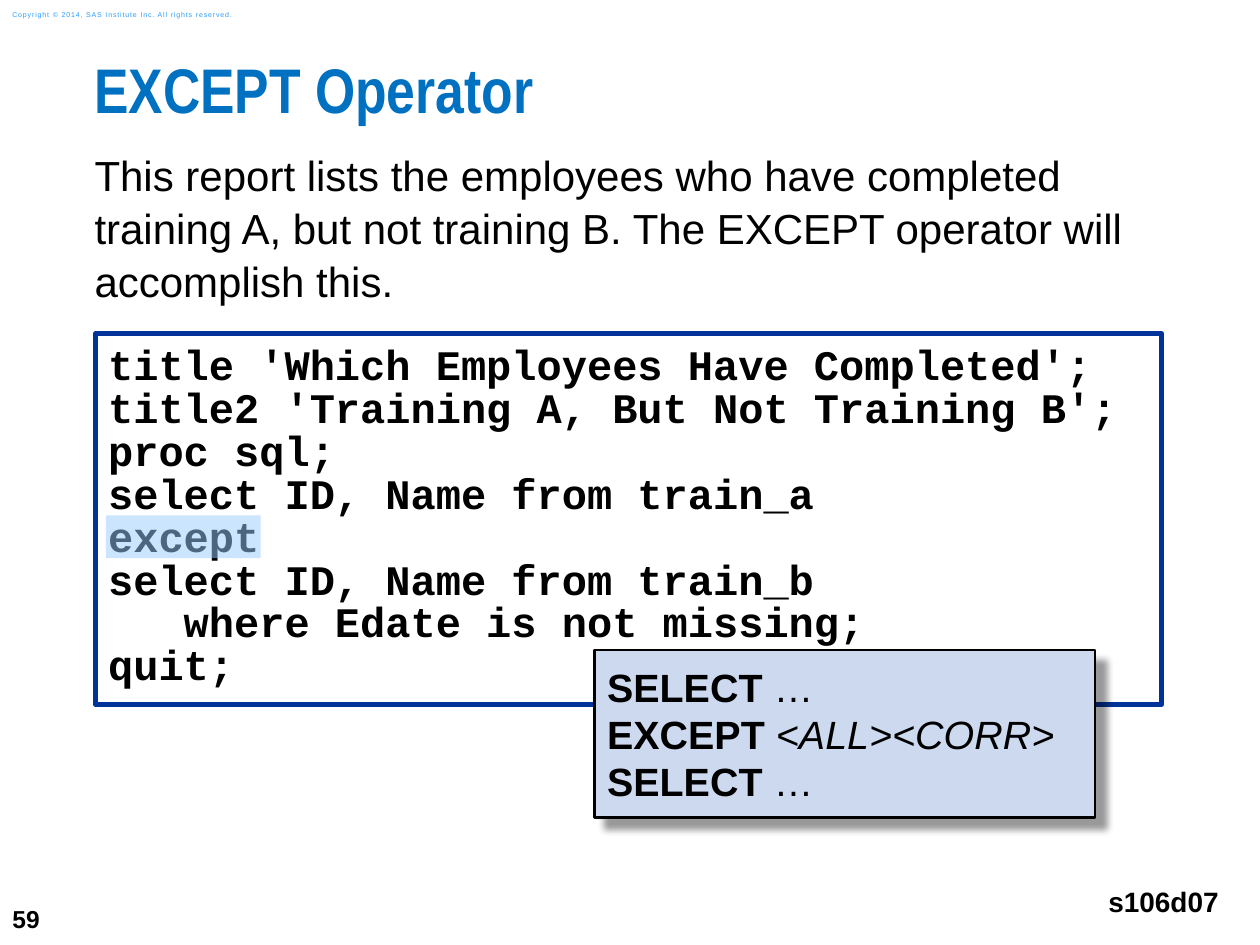
import pptx
import pptx.util
import pptx.dml.color
import pptx.enum.shapes
import pptx.enum.text
import pptx.oxml
import pptx.oxml.ns

Inches, Pt = pptx.util.Inches, pptx.util.Pt
ALIGN, ANCHOR = pptx.enum.text.PP_ALIGN, pptx.enum.text.MSO_ANCHOR
SPACE = pptx.oxml.ns.nsdecls("a")

TITLE = "EXCEPT Operator"
BODY = ("This report lists the employees who have completed training A, "
        "but not training B. The EXCEPT operator will accomplish this.")
CODE = [
    "title 'Which Employees Have Completed';",
    "title2 'Training A, But Not Training B';",
    "proc sql;",
    "select ID, Name from train_a",
    "except",
    "select ID, Name from train_b",
    "   where Edate is not missing;",
    "quit;",
]
SYNTAX = [
    [("SELECT", "b"), (" …", "")],
    [("EXCEPT ", "b"), ("<ALL><CORR>", "i")],
    [("SELECT", "b"), (" …", "")],
]
COPY = "Copyright © 2014, SAS Institute Inc. All rights reserved."
NUMBER, LABEL = "59", "s106d07"


def color(code):
    return pptx.dml.color.RGBColor.from_string(code)


def place(shape, box):
    shape.left, shape.top, shape.width, shape.height = map(Inches, box)
    return shape


def write(shape, lines, size, font="Arial", ink="000000", bold=False, align=ALIGN.LEFT,
          anchor=ANCHOR.TOP, pad=(0.1, 0.1, 0.1, 0.1), wrap=True, lead=1.0, track=0):
    frame = shape.text_frame
    frame.auto_size = pptx.enum.text.MSO_AUTO_SIZE.NONE
    frame.word_wrap, frame.vertical_anchor = wrap, anchor
    (frame.margin_left, frame.margin_top,
     frame.margin_right, frame.margin_bottom) = map(Inches, pad)
    for row, line in enumerate(lines):
        para = frame.add_paragraph() if row else frame.paragraphs[0]
        para.alignment, para.line_spacing = align, lead
        para.space_before = Pt(0)
        parts = [(line, "b" if bold else "")] if isinstance(line, str) else line
        for text, style in parts:
            run = para.add_run()
            run.text = text
            face = run.font
            face.name, face.size = font, Pt(size)
            face.bold, face.italic = "b" in style, "i" in style
            face.color.rgb = color(ink)
            if track:
                run._r.get_or_add_rPr().set("spc", str(track))


def rect(slide, box, fill, line=None, width=1):
    shape = slide.shapes.add_shape(pptx.enum.shapes.MSO_SHAPE.RECTANGLE, *map(Inches, box))
    shape.shadow.inherit = False
    shape.fill.solid()
    shape.fill.fore_color.rgb = color(fill)
    if line:
        shape.line.color.rgb = color(line)
        shape.line.width = Pt(width)
    else:
        shape.line.fill.background()
    return shape


def fade(shape, share):
    fill = shape._element.spPr.find(".//" + pptx.oxml.ns.qn("a:srgbClr"))
    fill.append(pptx.oxml.parse_xml(f'<a:alpha {SPACE} val="{share * 1000}"/>'))


def shade(shape, blur, dist, angle, share):
    shape._element.spPr.find(pptx.oxml.ns.qn("a:effectLst")).append(pptx.oxml.parse_xml(
        f'<a:outerShdw {SPACE} blurRad="{Pt(blur)}" dist="{Pt(dist)}" dir="{angle * 60000}" '
        f'algn="tl" rotWithShape="0"><a:srgbClr val="000000">'
        f'<a:alpha val="{share * 1000}"/></a:srgbClr></a:outerShdw>'))


def build():
    """Build the EXCEPT operator slide and save it."""
    deck = pptx.Presentation()
    deck.slide_width, deck.slide_height = Inches(10), Inches(7.5)
    slide = deck.slides.add_slide(deck.slide_layouts[1])
    title, body = slide.placeholders

    def note(box, text, size, **form):
        write(slide.shapes.add_textbox(*map(Inches, box)), [text], size, **form)

    note((0, 7.08, 0.58, 0.42), NUMBER, 14, bold=True, anchor=ANCHOR.MIDDLE)
    note((0, 0.03, 2.11, 0.17), COPY, 4, ink="2A9CFF", track=50,
         anchor=ANCHOR.MIDDLE, pad=(0.1, 0.05, 0.1, 0.05))

    flat = (0, 0, 0, 0)
    write(place(title, (0.75, 0.5, 9.25, 0.74)), [TITLE], 36, font="Arial Narrow",
          ink="0070C0", bold=True, pad=flat, lead=0.83)
    place(body, (0.75, 1.17, 8.58, 3.53))
    props = body.text_frame.paragraphs[0]._p.get_or_add_pPr()
    props.set("marL", "0")
    props.set("indent", "0")
    props.append(pptx.oxml.parse_xml(f"<a:buNone {SPACE}/>"))
    write(body, [BODY], 24, pad=flat, lead=1.05)

    code = rect(slide, (0.76, 2.65, 8.46, 2.94), "FFFFFF", "003399", 3)
    write(code, CODE, 24, font="Courier New", bold=True, lead=0.85,
          pad=(0.1, 0.1, 0.29, 0.1))
    note((8.69, 6.92, 1.08, 0.47), LABEL, 16, bold=True, align=ALIGN.RIGHT, wrap=False)
    fade(rect(slide, (0.84, 4.09, 1.23, 0.34), "99CCFF"), 50)
    syntax = rect(slide, (4.72, 5.16, 3.97, 1.33), "CDD9EF", "000000", 1.5)
    shade(syntax, 4, 8.5, 45, 40)
    write(syntax, SYNTAX, 22.5)
    deck.save("out.pptx")


if __name__ == "__main__":
    build()
